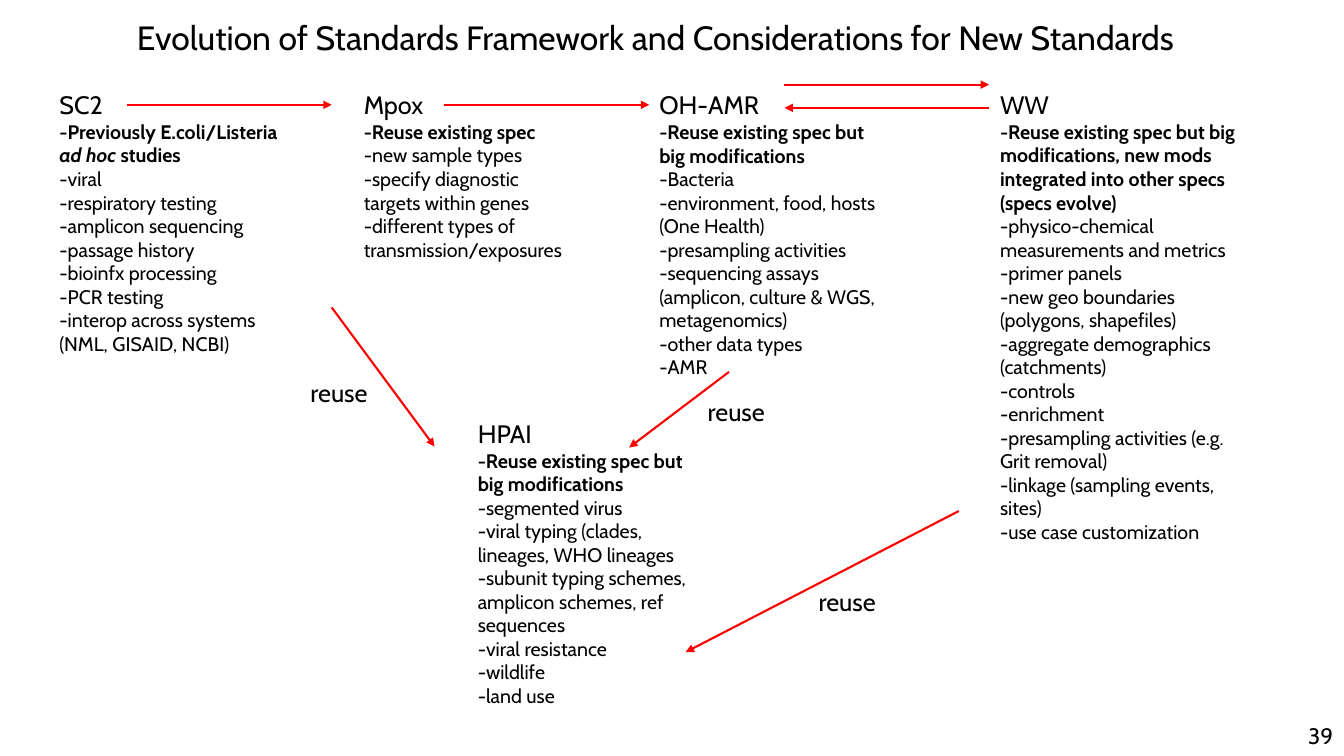
from lxml import etree
from pptx import Presentation
from pptx.dml.color import RGBColor
from pptx.enum import shapes, text
from pptx.oxml import ns
from pptx.util import Inches, Pt


def paint(color):
    return RGBColor.from_string(color)


def label(lines, left, top, width, height, wrap=True):
    box = slide.shapes.add_textbox(Inches(left), Inches(top), Inches(width), Inches(height))
    frame = box.text_frame
    frame.word_wrap = wrap
    frame.auto_size = text.MSO_AUTO_SIZE.SHAPE_TO_FIT_TEXT
    for i, (line, size, bold) in enumerate(lines):
        para = frame.paragraphs[0] if i == 0 else frame.add_paragraph()
        for j, part in enumerate(line.split("*")):
            run = para.add_run()
            run.text = part
            if j % 2:
                run.font.italic = True
        font = para.font
        font.name, font.size, font.bold = "Cabin", Pt(size), bold
        font.color.rgb = paint("000000")
    return frame


deck = Presentation()
deck.slide_width, deck.slide_height = Inches(13.33), Inches(7.5)
slide = deck.slides.add_slide(deck.slide_layouts[6])

title = "Evolution of Standards Framework and Considerations for New Standards"
label([(title, 24, False)], 1.26, 0.12, 10.82, 0.5, False)

specs = [
    (0.49, 0.84, 2.51, 2.76, "SC2", "-Previously E.coli/Listeria *ad hoc *studies", [
        "-viral", "-respiratory testing", "-amplicon sequencing", "-passage history",
        "-bioinfx processing", "-PCR testing",
        "-interop across systems (NML, GISAID, NCBI)"]),
    (3.51, 0.84, 2.26, 3.03, "Mpox", "-Reuse existing spec", [
        "-new sample types", "-specify diagnostic targets within genes",
        "-different types of transmission/exposures"]),
    (6.44, 0.84, 2.42, 4.21, "OH-AMR", "-Reuse existing spec but big modifications", [
        "-Bacteria", "-environment, food, hosts (One Health)", "-presampling activities",
        "-sequencing assays (amplicon, culture & WGS, metagenomics)",
        "-other data types", "-AMR"]),
    (9.82, 0.84, 2.72, 5.86, "WW",
     "-Reuse existing spec but big modifications, new mods integrated into other specs "
     "(specs evolve)", [
        "-physico-chemical measurements and metrics", "-primer panels",
        "-new geo boundaries (polygons, shapefiles)",
        "-aggregate demographics (catchments)", "-controls", "-enrichment",
        "-presampling activities (e.g. Grit removal)",
        "-linkage (sampling events, sites)", "-use case customization"]),
    (4.64, 4.1, 2.42, 3, "HPAI", "-Reuse existing spec but big modifications", [
        "-segmented virus", "-viral typing (clades, lineages, WHO lineages",
        "-subunit typing schemes, amplicon schemes, ref sequences",
        "-viral resistance", "-wildlife", "-land use"]),
]
for left, top, width, height, name, change, points in specs:
    lines = [(name, 18, False), (change, 14, True)]
    lines += [(point, 14, False) for point in points]
    label(lines, left, top, width, height)

arrows = [
    (1.26, 1.04, 3.29, 1.04),
    (4.4, 1.04, 6.44, 1.04),
    (7.78, 0.84, 9.81, 0.84),
    (9.81, 1.07, 7.78, 1.07),
    (3.29, 3.05, 4.31, 4.43),
    (7.23, 3.69, 6.24, 4.44),
    (9.51, 5.07, 6.8, 6.47),
]
for ends in arrows:
    arrow = slide.shapes.add_connector(
        shapes.MSO_CONNECTOR.STRAIGHT, *[Inches(end) for end in ends])
    arrow.line.color.rgb = paint("FF0000")
    arrow.line.width = Pt(1.5)
    props = arrow.element.spPr
    etree.SubElement(props.find(ns.qn("a:ln")), ns.qn("a:tailEnd"), type="triangle")
    etree.SubElement(props, ns.qn("a:effectLst"))

for left, top in [(2.98, 3.69), (6.92, 3.88), (8.02, 5.77)]:
    label([("reuse", 18, False)], left, top, 0.81, 0.4, False)

page = label([("39", 16, False)], 12.75, 7.1, 0.57, 0.4)
page.auto_size = text.MSO_AUTO_SIZE.NONE
page.vertical_anchor = text.MSO_ANCHOR.MIDDLE
page.paragraphs[0].alignment = text.PP_ALIGN.RIGHT

deck.save("out.pptx")
